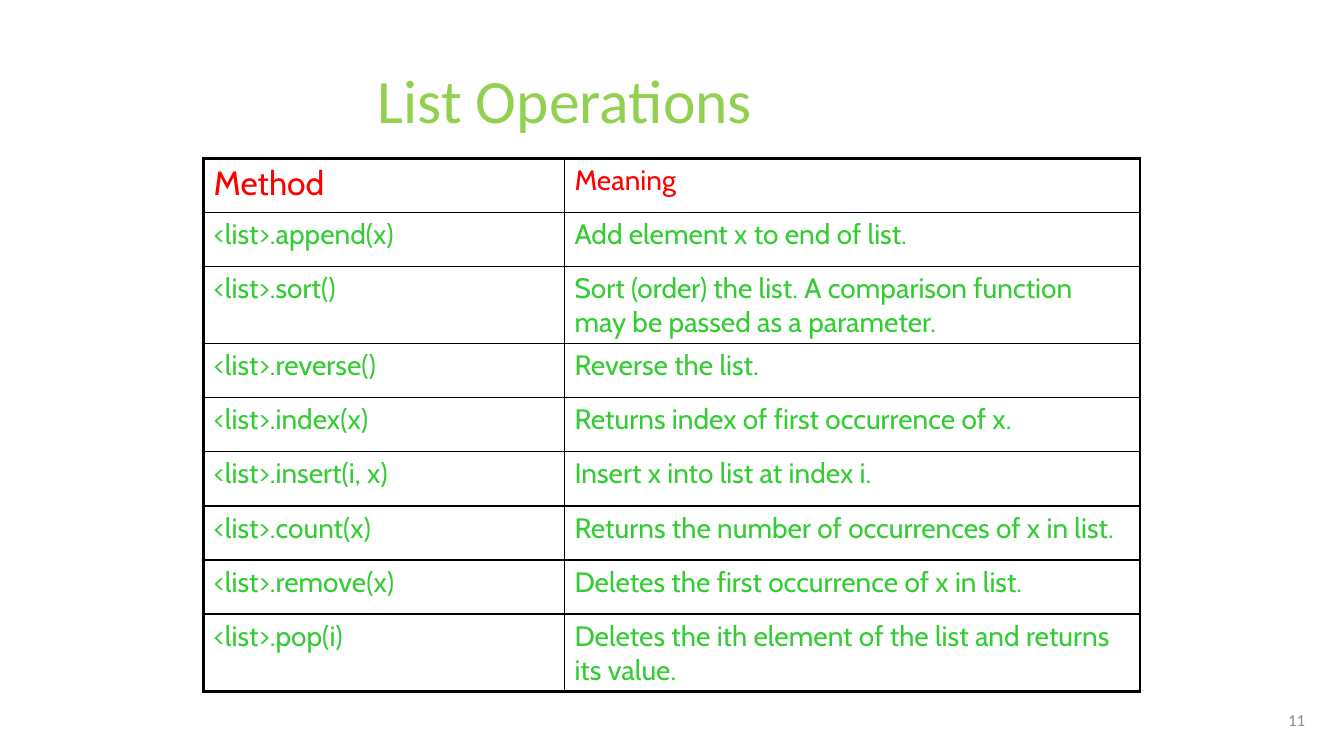
from pptx import Presentation
from pptx.dml.color import RGBColor
from pptx.enum.text import MSO_ANCHOR, PP_ALIGN
from pptx.util import Pt
from lxml.etree import SubElement
from pptx.oxml.ns import qn

# Content
TITLE = "List Operations"
PAGE = "11"
ROWS = [
    ("Method", "Meaning"),
    ("<list>.append(x)", "Add element x to end of list."),
    ("<list>.sort()", "Sort (order) the list. A comparison function may be passed as a parameter."),
    ("<list>.reverse()", "Reverse the list."),
    ("<list>.index(x)", "Returns index of first occurrence of x."),
    ("<list>.insert(i, x)", "Insert x into list at index i."),
    ("<list>.count(x)", "Returns the number of occurrences of x in list."),
    ("<list>.remove(x)", "Deletes the first occurrence of x in list."),
    ("<list>.pop(i)", "Deletes the ith element of the list and returns its value."),
]
COLORS = {"title": "92D050", "header": "FF0000", "body": "33CC33",
          "border": "000000", "page": "8C8C8C"}

# Layout in points
COL_WIDTHS = (257.8, 411.2)
ROW_HEIGHT, TWO_LINE_HEIGHT = 38.6, 55.5
TWO_LINE_CHARS = 50
TABLE_LEFT, TABLE_TOP = 145.4, 113
OUTER, INNER = 2.25, 1


def write(tf, text, font, size, color):
    p = tf.paragraphs[0]
    r = p.add_run()
    r.text = text
    for name, value in {"name": font, "size": Pt(size)}.items():
        setattr(r.font, name, value)
    r.font.color.rgb = RGBColor.from_string(COLORS[color])
    return p


def add_text(s, box, text, size, color):
    tf = s.shapes.add_textbox(*map(Pt, box)).text_frame
    tf.word_wrap = True
    tf.vertical_anchor = MSO_ANCHOR.MIDDLE
    return tf, write(tf, text, "Calibri", size, color)


def set_borders(cell, widths):
    tc_pr = cell._tc.get_or_add_tcPr()
    for i, (side, width) in enumerate(widths.items()):
        ln = SubElement(tc_pr, qn(f"a:ln{side}"), w=str(Pt(width)))
        fill = SubElement(ln, qn("a:solidFill"))
        SubElement(fill, qn("a:srgbClr"), val=COLORS["border"])
        tc_pr.insert(i, ln)


prs = Presentation()
prs.slide_width, prs.slide_height = Pt(960), Pt(540)
s = prs.slides.add_slide(prs.slide_layouts[6])

# Title
tf, p = add_text(s, (121, 16.6, 818, 115), TITLE, 44, "title")
tf.margin_left = Pt(149)
p.line_spacing = 0.9

# Table of list methods
heights = [TWO_LINE_HEIGHT if len(meaning) > TWO_LINE_CHARS else ROW_HEIGHT
           for _, meaning in ROWS]
table = s.shapes.add_table(
    len(ROWS), len(COL_WIDTHS), Pt(TABLE_LEFT), Pt(TABLE_TOP),
    Pt(sum(COL_WIDTHS)), Pt(sum(heights))).table
table.first_row = table.horz_banding = False
for column, width in zip(table.columns, COL_WIDTHS):
    column.width = Pt(width)
for i, (row, height) in enumerate(zip(ROWS, heights)):
    table.rows[i].height = Pt(height)
    for j, text in enumerate(row):
        cell = table.cell(i, j)
        cell.fill.background()
        write(cell.text_frame, text, "Cabin", 24 if i == j == 0 else 20,
              "body" if i else "header")
        at_edge = {"L": j == 0, "R": j == len(row) - 1,
                   "T": i == 0, "B": i == len(ROWS) - 1}
        set_borders(cell, {side: OUTER if edge else INNER
                           for side, edge in at_edge.items()})

# Page number
tf, p = add_text(s, (739.4, 496, 200, 36), PAGE, 12, "page")
p.alignment = PP_ALIGN.RIGHT

prs.save("out.pptx")
